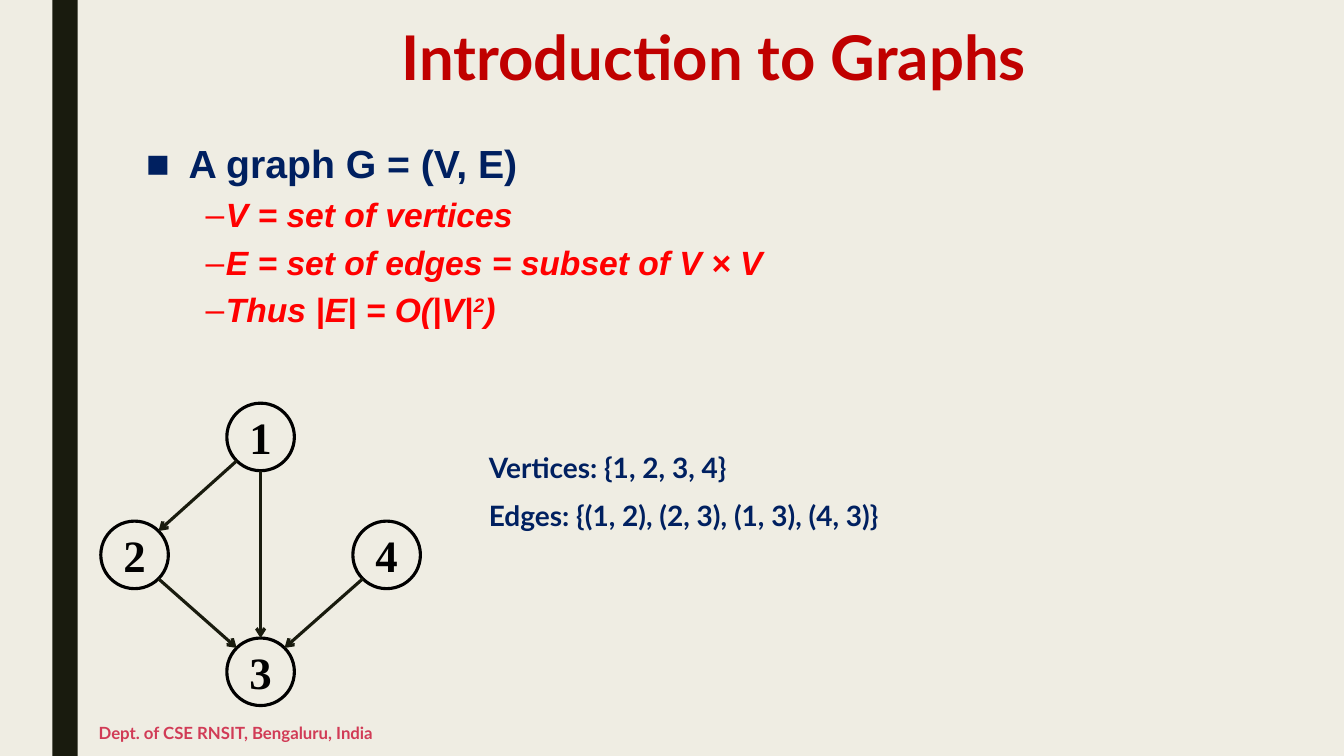
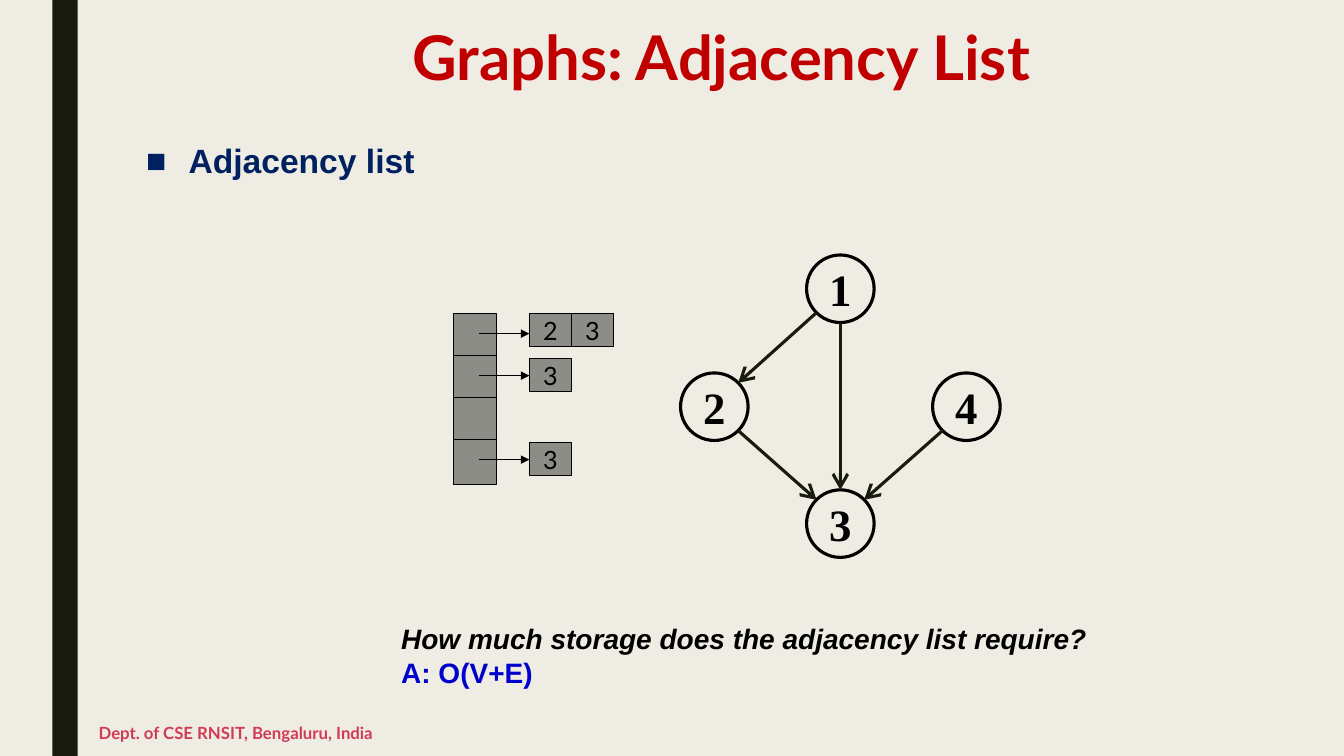
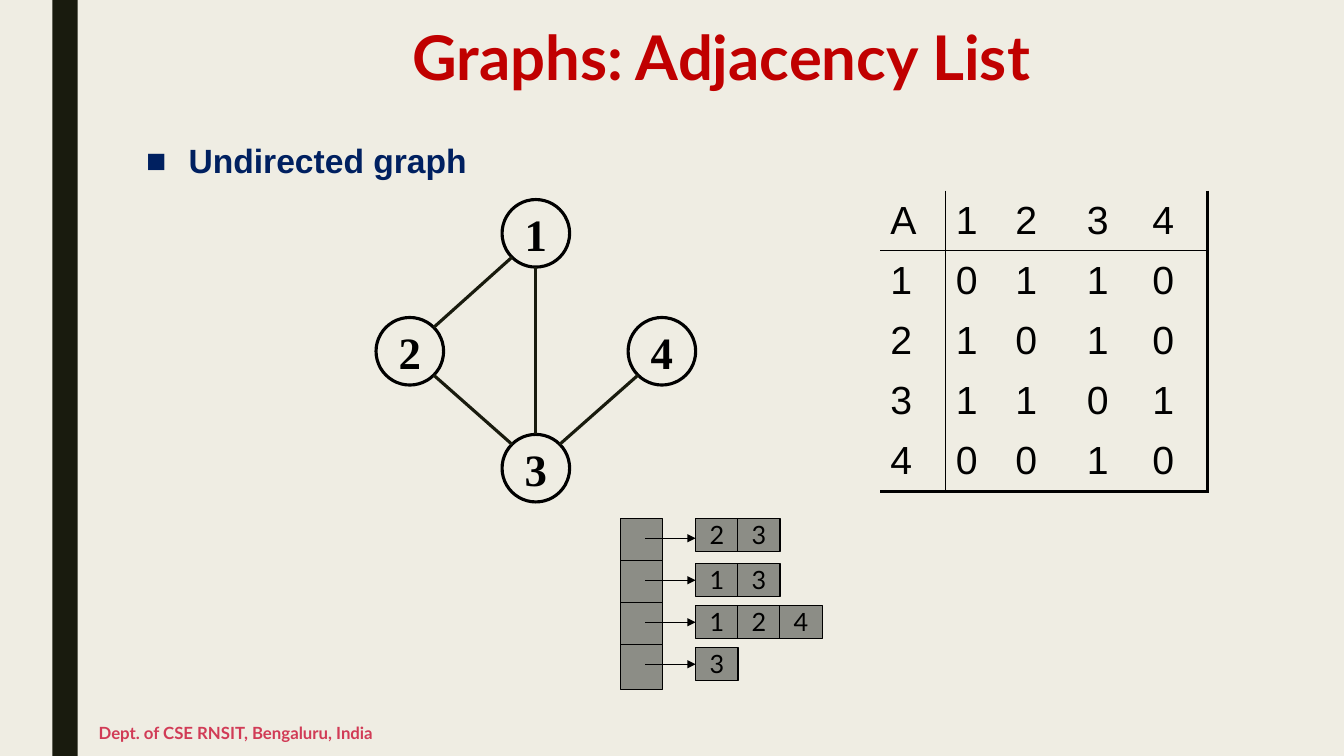
from math import sqrt

from lxml.etree import SubElement
from pptx import Presentation
from pptx.dml.color import RGBColor
from pptx.enum.shapes import MSO_CONNECTOR as Connector, MSO_SHAPE as Shape
from pptx.enum.text import MSO_ANCHOR as Anchor, PP_ALIGN as Align
from pptx.oxml.ns import qn
from pptx.util import Inches, Pt

color = RGBColor.from_string
INK, BLACK, NAVY, GRAY = "191B0E", "000000", "002060", "8C8D86"


def add_text(frame, text, font="Arial", size=20, fill=BLACK, bold=False, italic=False,
             align=Align.LEFT, before=0, after=0, spacing=1.0):
    paragraph = frame.add_paragraph() if frame.text else frame.paragraphs[0]
    paragraph.alignment = align
    paragraph.space_before, paragraph.space_after = Pt(before), Pt(after)
    paragraph.line_spacing = spacing
    for index, part in enumerate(text.split("^")):
        run = paragraph.add_run()
        run.text = part
        run.font.name, run.font.size = font, Pt(size)
        run.font.bold, run.font.italic = bold, italic
        run.font.color.rgb = color(fill)
        if index % 2:
            run._r.get_or_add_rPr().set("baseline", "30000")
    return paragraph


def add_line(slide, start, end, fill=BLACK, width=0.75, head=None, head_size="med"):
    line = slide.shapes.add_connector(Connector.STRAIGHT, *map(Inches, start + end))
    line.line.color.rgb = color(fill)
    line.line.width = Pt(width)
    if head:
        SubElement(line.line._get_or_add_ln(), qn("a:tailEnd"),
                   type=head, w=head_size, len=head_size)
    SubElement(line._element.spPr, qn("a:effectLst"))


presentation = Presentation()
presentation.slide_width, presentation.slide_height = Inches(13.33), Inches(7.5)
master = presentation.slide_master
master.background.fill.solid()
master.background.fill.fore_color.rgb = color("EFEDE3")

layout = presentation.slide_layouts[1]
for placeholder, top, height in zip(layout.placeholders, (0.23, 1.37), (0.88, 5.47)):
    placeholder.left, placeholder.top = Inches(1.35), Inches(top)
    placeholder.width, placeholder.height = Inches(11.61), Inches(height)
    placeholder.text_frame.vertical_anchor = Anchor.TOP

NODE = 0.67
NODES = {"1": (1.25, 0), "2": (0, 1.17), "4": (2.5, 1.17), "3": (1.25, 2.33)}
EDGES = ["12", "23", "43", "13"]
SLOT, PITCH = 0.42, 1.25 / 3

lectures = [
    {"title": "Introduction to Graphs ", "topic": "A graph G = (V, E)", "topic_size": 28,
     "details": ["V = set of vertices", "E = set of edges = subset of V × V",
                 "Thus |E| = O(|V|^2^)"],
     "graph": (1, 4), "head": "arrow", "head_size": "med", "list": (0, 0), "neighbors": []},
    {"title": "Graphs: Adjacency List", "topic": "Adjacency list", "topic_size": 24,
     "details": [], "graph": (6.75, 2.53), "head": "arrow", "head_size": "lg",
     "list": (4.5, 3.11), "neighbors": ["23", "3", "", "3"]},
    {"title": "Graphs: Adjacency List", "topic": "Undirected graph", "topic_size": 24,
     "details": [], "graph": (3.73, 1.98), "head": None, "head_size": "med",
     "list": (6.15, 5.14), "neighbors": ["23", "13", "124", "3"]},
]

slides = []
for lecture in lectures:
    slide = presentation.slides.add_slide(layout)
    slides.append(slide)
    title, body = slide.placeholders
    add_text(title.text_frame, lecture["title"], font="Lato", size=44, fill="C00000",
             bold=True, align=Align.CENTER, spacing=0.89)

    for index, text in enumerate([lecture["topic"]] + lecture["details"]):
        detail = index > 0
        paragraph = add_text(
            body.text_frame, text, size=24 if detail else lecture["topic_size"],
            fill="FF0000" if detail else NAVY, bold=True, italic=detail,
            align=Align.JUSTIFY, before=5 if detail else 0, after=2, spacing=0.94)
        paragraph.level = int(detail)
        properties = paragraph._p.get_or_add_pPr()
        properties.set("marL", str(Inches(0.79 if detail else 0.42)))
        properties.set("indent", str(-Inches(0.2 if detail else 0.42)))
        SubElement(properties, qn("a:buChar"), char="–" if detail else "■")

    graph_left, graph_top = lecture["graph"]
    for name, (x, y) in NODES.items():
        node = slide.shapes.add_shape(Shape.OVAL, Inches(graph_left + x), Inches(graph_top + y),
                                      Inches(NODE), Inches(NODE))
        node.shadow.inherit = False
        node.fill.background()
        node.line.color.rgb = color(BLACK)
        node.line.width = Pt(2.25)
        node.text_frame.word_wrap = False
        node.text_frame.vertical_anchor = Anchor.MIDDLE
        add_text(node.text_frame, name, font="Times New Roman", size=32, bold=True,
                 align=Align.CENTER)

    for source, target in EDGES:
        (x1, y1), (x2, y2) = NODES[source], NODES[target]
        side = (x2 > x1) - (x2 < x1)
        reach = NODE / 2 * (sqrt(0.5) if side else 1)
        left, top = graph_left + NODE / 2, graph_top + NODE / 2
        add_line(slide, (left + x1 + side * reach, top + y1 + reach),
                 (left + x2 - side * reach, top + y2 - reach), fill=INK, width=2.25,
                 head=lecture["head"], head_size=lecture["head_size"])

    list_left, list_top = lecture["list"]
    for row, neighbors in enumerate(lecture["neighbors"]):
        top = list_top + row * PITCH
        item_top = top + (0.03 if row else 0)
        boxes = [("", list_left, top, 0.45)]
        boxes += [(name, list_left + 0.75 + column * PITCH, item_top, 0.33)
                  for column, name in enumerate(neighbors)]
        for name, x, y, height in boxes:
            box = slide.shapes.add_shape(Shape.RECTANGLE, Inches(x), Inches(y),
                                         Inches(SLOT), Inches(height))
            box.shadow.inherit = False
            box.fill.solid()
            box.fill.fore_color.rgb = color(GRAY)
            box.line.color.rgb = color(BLACK)
            box.line.width = Pt(0.75)
            if name:
                box.text_frame.word_wrap = False
                box.text_frame.vertical_anchor = Anchor.MIDDLE
                add_text(box.text_frame, name, font="Lato", size=18, align=Align.CENTER)
        if neighbors:
            add_line(slide, (list_left + 0.25, top + 0.2), (list_left + 0.75, top + 0.2),
                     head="triangle")

    footer = slide.shapes.add_textbox(Inches(0.88), Inches(7.05), Inches(6.87), Inches(0.44))
    footer.text_frame.word_wrap = True
    footer.text_frame.vertical_anchor = Anchor.MIDDLE
    add_text(footer.text_frame, "Dept. of CSE RNSIT, Bengaluru, India", font="Lato", size=12,
             fill="D13B56", bold=True)

intro_slide, list_slide, matrix_slide = slides

band = intro_slide.shapes.add_shape(Shape.RECTANGLE, Inches(0.52), 0, Inches(0.25), Inches(7.5))
band.shadow.inherit = False
band.fill.solid()
band.fill.fore_color.rgb = color(INK)
band.line.fill.background()
master.shapes.element.insert(2, band.element)

sets = intro_slide.shapes.add_textbox(Inches(4.75), Inches(4.42), Inches(4.75), Inches(0.94))
sets.text_frame.word_wrap = True
add_text(sets.text_frame, "Vertices: {1, 2, 3, 4}", font="Lato", fill=NAVY, bold=True)
add_text(sets.text_frame, "Edges: {(1, 2), (2, 3), (1, 3), (4, 3)}", font="Lato", fill=NAVY,
         bold=True, before=10)

storage = list_slide.shapes.add_textbox(Inches(3.88), Inches(6.12), Inches(7.67), Inches(0.77))
storage.text_frame.word_wrap = True
add_text(storage.text_frame, "How much storage does the adjacency list require?", bold=True,
         italic=True)
add_text(storage.text_frame, "A: O(V+E)", fill="0000CC", bold=True)

matrix = ["A1234", "10110", "21010", "31101", "40010"]
rules = [0, 1, 0, 0, 0, 2.25]
table = matrix_slide.shapes.add_table(5, 5, Inches(8.73), Inches(1.89), Inches(3.25),
                                      Inches(2.92)).table
table.first_row = table.horz_banding = False
for column, width in zip(table.columns, (0.65, 0.59, 0.71, 0.65, 0.65)):
    column.width = Inches(width)
for row, values in enumerate(matrix):
    table.rows[row].height = Inches(2.92 / 5)
    for column, value in enumerate(values):
        cell = table.cell(row, column)
        cell.margin_top = Inches(0.08)
        add_text(cell.text_frame, value, size=28)
        properties = cell._tc.get_or_add_tcPr()
        borders = {"L": rules[column], "R": rules[column + 1],
                   "T": rules[row], "B": rules[row + 1]}
        for side, width in borders.items():
            border = SubElement(properties, qn("a:ln" + side), w=str(Pt(width)))
            if width:
                SubElement(SubElement(border, qn("a:solidFill")), qn("a:srgbClr"), val=BLACK)
            else:
                SubElement(border, qn("a:noFill"))
        cell.fill.background()

presentation.save("out.pptx")
